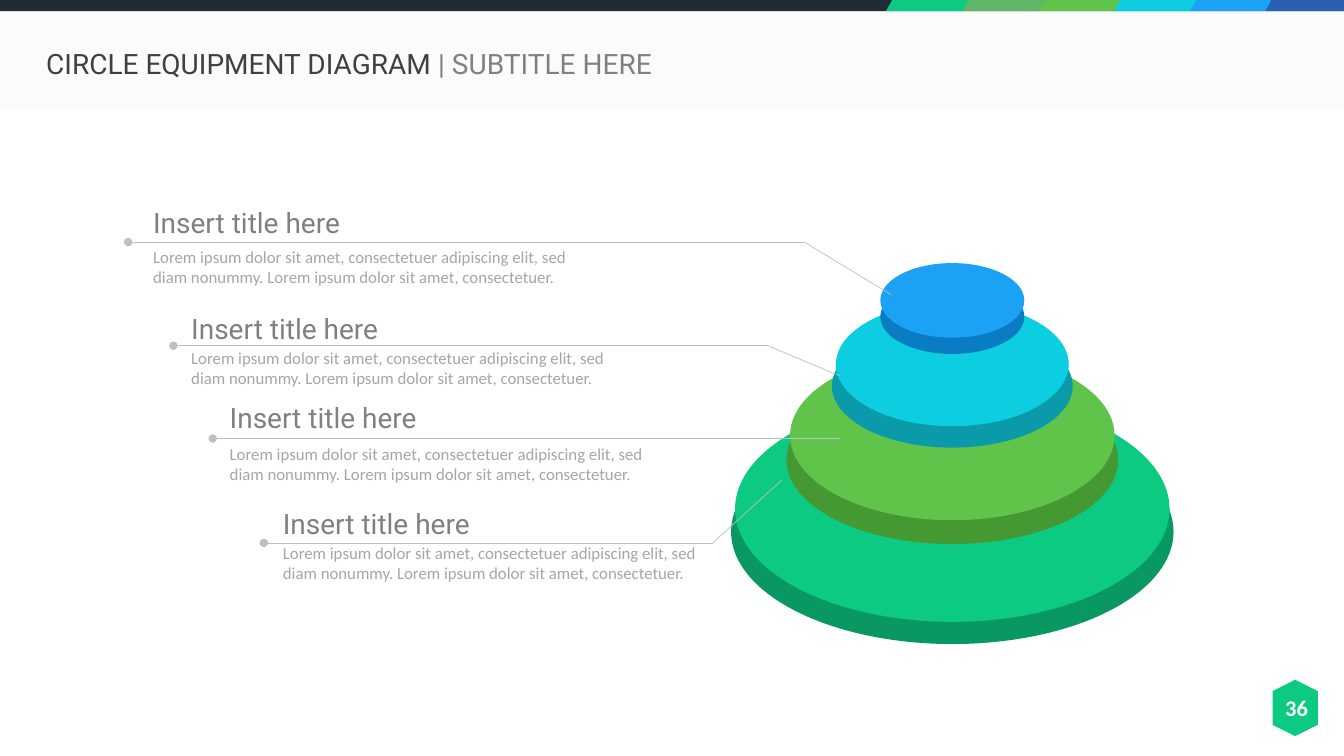
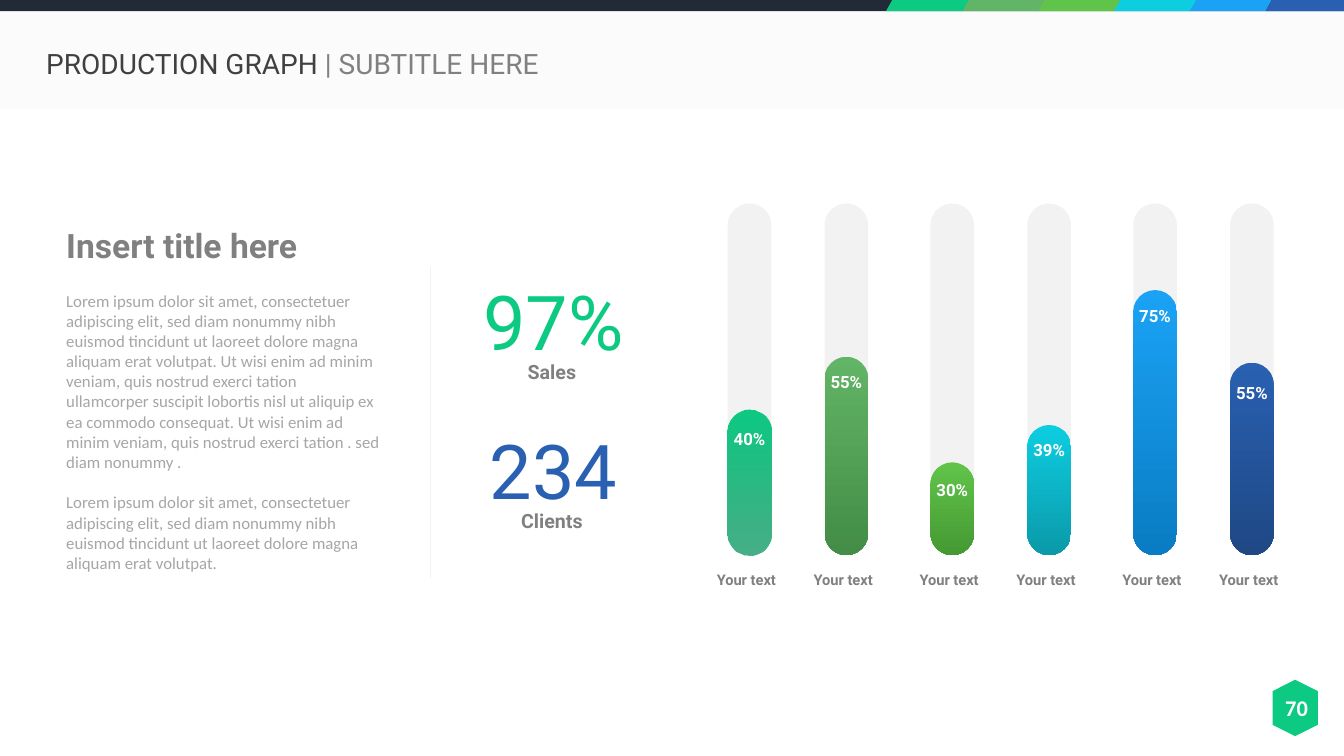
from dataclasses import dataclass

from lxml import etree
from pptx import Presentation
from pptx.dml.color import RGBColor
from pptx.enum.shapes import MSO_CONNECTOR, MSO_SHAPE
from pptx.enum.text import MSO_ANCHOR, MSO_AUTO_SIZE, PP_ALIGN
from pptx.oxml.ns import qn
from pptx.util import Cm, Pt

RECT = MSO_SHAPE.RECTANGLE
ROUND = MSO_SHAPE.ROUNDED_RECTANGLE
SLANT = MSO_SHAPE.PARALLELOGRAM
HEX = MSO_SHAPE.HEXAGON
OVAL = MSO_SHAPE.OVAL
LINE = MSO_CONNECTOR.STRAIGHT
LEFT, MID = PP_ALIGN.LEFT, PP_ALIGN.CENTER
MIDDLE = MSO_ANCHOR.MIDDLE
FIXED = MSO_AUTO_SIZE.NONE

WIDE, HIGH = 33.87, 19.05


@dataclass(frozen=True)
class Type:
    font: str
    size: float
    color: str
    bold: bool = False


class Theme:
    navy, pale, rule, white = "222A35", "F2F2F2", "BFBFBF", "FFFFFF"
    mint, sage, lime = "0CCA82", "62B466", "61C44A"
    aqua, sky, blue = "0DCDE1", "1BA2F5", "2960B1"
    mint_dark, sage_dark, lime_dark = "099862", "438D47", "459932"
    aqua_dark, sky_dark, blue_dark = "0A9AA9", "097CC3", "1F4885"
    tabs = (mint, sage, lime, aqua, sky)
    hair = 0.5
    title = Type("Roboto", 20, "404040")
    sub = Type("Roboto", 20, "808080")
    head = Type("Roboto", 24, "808080", True)
    body = Type("Calibri", 12, "A6A6A6")
    page = Type("Calibri", 16, white, True)
    value = Type("Roboto", 12, white, True)
    label = Type("Roboto", 10.5, "808080", True)
    note = Type("Roboto", 14, "808080", True)
    sales = Type("Roboto", 54, mint)
    clients = Type("Roboto", 54, blue)


def rgb(color):
    return RGBColor.from_string(color)


class Deck:
    def __init__(self, theme):
        self.theme = theme
        self.file = Presentation()
        self.file.slide_width, self.file.slide_height = Cm(WIDE), Cm(HIGH)
        self.slide = None

    def start(self, title, sub, page):
        theme = self.theme
        layout = self.file.slide_layouts[5]
        self.slide = self.file.slides.add_slide(layout)
        band = self.shape(RECT, (0, 0.28, WIDE, 2.46), theme.pale)
        self.fade(band, 29)
        self.shape(RECT, (0, 0, WIDE, 0.28), theme.navy)
        for i, color in reversed(list(enumerate(theme.tabs))):
            at = (22.33 + 1.91 * i, 0, 2.08, 0.28)
            self.shape(SLANT, at, color, 0.56)
        self.outline([(32.05, 0), (WIDE, 0), (WIDE, 0.28), (31.9, 0.28)], theme.blue)
        badge = self.shape(HEX, (31.93, 17.27, 1.42, 1.14), theme.mint)
        badge.rotation = 90
        self.text((31.9, 17.37, 1.55, 0.94), page, theme.page, MID)
        self.title(title, sub)

    def title(self, title, sub):
        shape = self.slide.shapes.title
        shape.left, shape.top, shape.width, shape.height = map(
            Cm, (0.91, 0.94, 18.85, 1.4))
        frame = shape.text_frame
        frame.auto_size = FIXED
        frame.vertical_anchor = MIDDLE
        para = frame.paragraphs[0]
        para.alignment = LEFT
        para.line_spacing = 0.9
        self.run(para, title + " ", self.theme.title)
        self.run(para, "| " + sub, self.theme.sub)
        shape.element.getparent().append(shape.element)

    def run(self, para, words, kind):
        run = para.add_run()
        run.text = words
        font = run.font
        font.name, font.size, font.bold = kind.font, Pt(kind.size), kind.bold
        font.color.rgb = rgb(kind.color)

    def text(self, at, words, kind, align=LEFT, gap=0):
        box = self.slide.shapes.add_textbox(*map(Cm, at))
        frame = box.text_frame
        frame.word_wrap = True
        for i, part in enumerate(words.split("\n")):
            para = frame.add_paragraph() if i else frame.paragraphs[0]
            para.alignment = align
            if i:
                para.space_before = Pt(gap)
            self.run(para, part, kind)

    def paint(self, shape, color):
        shape.shadow.inherit = False
        shape.line.fill.background()
        shape.fill.solid()
        shape.fill.fore_color.rgb = rgb(color)

    def shape(self, kind, at, color, bend=None):
        shape = self.slide.shapes.add_shape(kind, *map(Cm, at))
        if bend is not None:
            shape.adjustments[0] = bend
        self.paint(shape, color)
        return shape

    def outline(self, points, color):
        first, *rest = [(Cm(x), Cm(y)) for x, y in points]
        pen = self.slide.shapes.build_freeform(*first)
        pen.add_line_segments(rest, close=True)
        self.paint(pen.convert_to_shape(), color)

    def blend(self, shape, top, base):
        shape.fill.gradient()
        shape.fill.gradient_angle = 270
        for i, (stop, color) in enumerate(zip(shape.fill.gradient_stops, (top, base))):
            stop.position = i
            stop.color.rgb = rgb(color)

    def fade(self, shape, part):
        color = shape.element.spPr.findall(".//" + qn("a:srgbClr"))[-1]
        etree.SubElement(color, qn("a:alpha"), val=str(part * 1000))

    def line(self, start, end, color, dot=False):
        line = self.slide.shapes.add_connector(LINE, *map(Cm, start + end))
        line.line.width = Pt(self.theme.hair)
        line.line.color.rgb = rgb(color)
        if dot:
            etree.SubElement(line.line._get_or_add_ln(), qn("a:tailEnd"), type="oval")
        etree.SubElement(line.element.spPr, qn("a:effectLst"))

    def disk(self, wide, high, y, color):
        self.shape(OVAL, (24 - wide / 2, y, wide, high), color)

    def callout(self, dot, bend, tip, x, head, body):
        theme = self.theme
        joint = (bend, dot[1])
        if joint != tip:
            self.line(tip, joint, theme.rule)
        self.line(joint, dot, theme.rule, True)
        self.text((x, head, 7.19, 1.12), "Insert title here", theme.sub)
        self.text((x, body, 11.76, 1.27), BLURB, theme.body)

    def bar(self, x, high, y, value, top, base):
        theme = self.theme
        foot = 13.99
        self.shape(ROUND, (x, 5.13, 1.1, foot - 5.13), theme.pale, 0.5)
        fill = self.shape(ROUND, (x, foot - high, 1.1, high), top, 0.5)
        self.blend(fill, top, base)
        self.text((x - 0.8, y, 2.7, 0.76), value, theme.value, MID)
        self.text((x - 0.88, 14.27, 2.7, 0.71), "Your text", theme.label, MID)
        return fill

    def stat(self, y, value, kind, label):
        self.text((11.79, y, 4.32, 2.57), value, kind, MID)
        self.text((11.76, y + 2.13, 4.3, 0.84), label, self.theme.note, MID)


BLURB = ("Lorem ipsum dolor sit amet, consectetuer adipiscing elit, sed diam "
         "nonummy. Lorem ipsum dolor sit amet, consectetuer.")
INTRO = ("Lorem ipsum dolor sit amet, consectetuer adipiscing elit, sed diam "
         "nonummy nibh euismod tincidunt ut laoreet dolore magna aliquam erat "
         "volutpat.")
STORY = (INTRO + " Ut wisi enim ad minim veniam, quis nostrud exerci tation "
         "ullamcorper suscipit lobortis nisl ut aliquip ex ea commodo consequat. "
         "Ut wisi enim ad minim veniam, quis nostrud exerci tation . sed diam "
         "nonummy .\n" + INTRO)


def circles(deck):
    theme = deck.theme
    deck.start("CIRCLE EQUIPMENT DIAGRAM", "SUBTITLE HERE", "36")
    for wide, high, y, color in (
        (11.15, 5.66, 10.57, theme.mint_dark),
        (10.95, 5.69, 9.98, theme.mint),
        (8.36, 4.24, 9.47, theme.lime_dark),
        (8.18, 4.27, 8.84, theme.lime),
        (6.07, 3.1, 8.18, theme.aqua_dark),
        (5.87, 3.12, 7.62, theme.aqua),
        (3.63, 1.88, 7.04, theme.sky_dark),
        (3.63, 1.88, 6.63, theme.sky),
    ):
        deck.disk(wide, high, y, color)
    for row in (
        ((3.23, 6.1), 20.27, (22.45, 7.42), 3.61, 5.05, 6.1),
        ((4.37, 8.71), 19.35, (21.16, 9.47), 4.57, 7.72, 8.64),
        ((5.36, 11.05), 21.16, (21.16, 11.05), 5.54, 9.98, 11.05),
        ((6.65, 13.68), 17.96, (19.71, 12.09), 6.88, 12.65, 13.56),
    ):
        deck.callout(*row)


def graph(deck):
    theme = deck.theme
    deck.start("PRODUCTION GRAPH", "SUBTITLE HERE", "70")
    bars = (
        (3.68, 10.67, "40%", theme.mint, theme.mint_dark),
        (5, 9.25, "55%", theme.sage, theme.sage_dark),
        (2.34, 11.96, "30%", theme.lime, theme.lime_dark),
        (3.28, 10.95, "39%", theme.aqua, theme.aqua_dark),
        (6.68, 7.59, "75%", theme.sky, theme.sky_dark),
        (4.85, 9.53, "55%", theme.blue, theme.blue_dark),
    )
    for i, row in enumerate(bars):
        pair, side = divmod(i, 2)
        fill = deck.bar(18.34 + 5.11 * pair + 2.44 * side, *row)
        if i == 0:
            deck.fade(fill, 73)
    deck.text((1.42, 5.54, 9.42, 1.27), "Insert title here", theme.head)
    deck.text((1.42, 7.19, 8.41, 7.44), STORY, theme.body, gap=14.6)
    deck.line((10.85, 6.73), (10.85, 14.58), theme.pale)
    deck.stat(6.81, "97%", theme.sales, "Sales")
    deck.stat(10.57, "234", theme.clients, "Clients")


def main():
    deck = Deck(Theme())
    circles(deck)
    graph(deck)
    deck.file.save("out.pptx")


if __name__ == "__main__":
    main()
